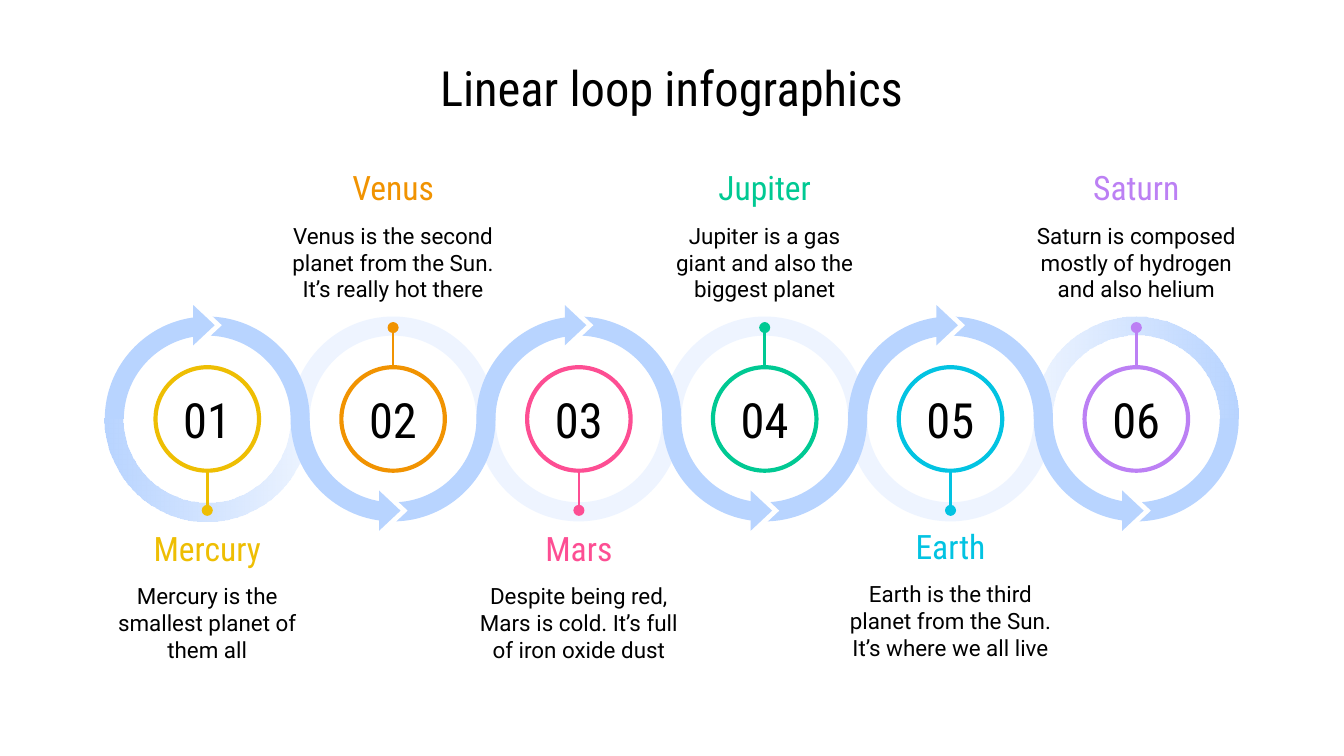
from dataclasses import dataclass

from lxml.etree import SubElement
from pptx import Presentation
from pptx.dml.color import RGBColor
from pptx.enum.shapes import MSO_CONNECTOR, MSO_SHAPE
from pptx.enum.text import MSO_ANCHOR, PP_ALIGN
from pptx.oxml.ns import qn
from pptx.util import Pt

PX = 2286
SLIDE_W, SLIDE_H = 4000, 2250
FIRST_X, MID_Y, PITCH = 617, 1247, 553
OUTER, INNER, NODE = 305, 248, 154
STEM_END = 272
TEXT_W, HEADING_H, BODY_H, BODY_GAP = 684, 148, 324, 136
ARROW_W, ARROW_H, ARROW_LIFT = 120, 64, 3
INSET = 40
BEZIER = 0.55
HALF_CIRCLE = [(-1, 0), (-1, BEZIER), (-BEZIER, 1), (0, 1), (BEZIER, 1), (1, BEZIER), (1, 0)]
CURVE_STARTS = (0, 3, 7, 10)


@dataclass(frozen=True)
class Theme:
    ring: str = "B8D4FF"
    white: str = "FFFFFF"
    ink: str = "000000"
    head_font: str = "Roboto Condensed"
    body_font: str = "Roboto"
    title_pt: int = 26
    heading_pt: int = 18
    body_pt: int = 12
    node_line_pt: float = 2.25
    stem_line_pt: float = 1.5
    faint_alpha: int = 24


@dataclass(frozen=True)
class Planet:
    name: str
    body: str
    color: str
    text_top: int


THEME = Theme()
PLANETS = [
    Planet("Mercury", "Mercury is the smallest planet of them all", "EEBE03", 1556),
    Planet("Venus", "Venus is the second planet from the Sun. It’s really hot there", "F19301", 484),
    Planet("Mars", "Despite being red, Mars is cold. It’s full of iron oxide dust", "FD4E93", 1556),
    Planet("Jupiter", "Jupiter is a gas giant and also the biggest planet", "00C993", 484),
    Planet("Earth", "Earth is the third planet from the Sun. It’s where we all live", "02C3E2", 1552),
    Planet("Saturn", "Saturn is composed mostly of hydrogen and also helium", "BC80F4", 484),
]


def rgb(color: str) -> RGBColor:
    return RGBColor.from_string(color)


def write(sp, text: str, font: str, size: int, color: str, anchor=MSO_ANCHOR.MIDDLE,
          inset: int = INSET, wrap: bool = True) -> None:
    tf = sp.text_frame
    tf.word_wrap = wrap
    tf.vertical_anchor = anchor
    tf.margin_left = tf.margin_right = tf.margin_top = tf.margin_bottom = inset * PX
    tf.text = text
    p = tf.paragraphs[0]
    p.alignment = PP_ALIGN.CENTER
    f = p.runs[0].font
    f.name, f.size = font, Pt(size)
    f.color.rgb = rgb(color)


def text_box(s, x: int, y: int, w: int, h: int):
    return s.shapes.add_textbox(x * PX, y * PX, w * PX, h * PX)


def plain_fill(sp, color: str) -> None:
    sp.shadow.inherit = False
    sp.fill.solid()
    sp.fill.fore_color.rgb = rgb(color)
    sp.line.fill.background()


def fade_last_color(sp) -> None:
    clr = list(sp._element.spPr.iter(qn("a:srgbClr")))[-1]
    SubElement(clr, qn("a:alpha"), val=str(THEME.faint_alpha * 1000))


def bend_segments(sp) -> None:
    outline = next(sp._element.spPr.iter(qn("a:path")))
    segments = outline.findall(qn("a:lnTo"))
    for start in CURVE_STARTS:
        curve = outline.makeelement(qn("a:cubicBezTo"))
        segments[start].addprevious(curve)
        for segment in segments[start:start + 3]:
            curve.append(segment[0])
            outline.remove(segment)


def half_ring(s, x: int, side: int):
    rim = [(OUTER, u, v) for u, v in HALF_CIRCLE] + [(INNER, u, v) for u, v in reversed(HALF_CIRCLE)]
    points = [((x + r * u) * PX, (MID_Y + side * r * v) * PX) for r, u, v in rim]
    fb = s.shapes.build_freeform(*points[0])
    fb.add_line_segments(points[1:], close=True)
    sp = fb.convert_to_shape()
    bend_segments(sp)
    plain_fill(sp, THEME.ring)
    return sp


def faint_half_ring(s, x: int, side: int, angle: int | None) -> None:
    sp = half_ring(s, x, side)
    if angle is not None:
        sp.fill.gradient()
        sp.fill.gradient_angle = angle
        for stop in sp.fill.gradient_stops:
            stop.color.rgb = rgb(THEME.ring)
    fade_last_color(sp)


def node(s, x: int, number: int, color: str) -> None:
    sp = s.shapes.add_shape(MSO_SHAPE.OVAL, (x - NODE) * PX, (MID_Y - NODE) * PX,
                            2 * NODE * PX, 2 * NODE * PX)
    plain_fill(sp, THEME.white)
    sp.line.color.rgb = rgb(color)
    sp.line.width = Pt(THEME.node_line_pt)
    write(sp, f"{number:02}", THEME.head_font, THEME.title_pt, THEME.ink, inset=0, wrap=False)


def stem(s, x: int, side: int, color: str) -> None:
    c = s.shapes.add_connector(MSO_CONNECTOR.STRAIGHT, x * PX, (MID_Y + side * NODE) * PX,
                               x * PX, (MID_Y + side * STEM_END) * PX)
    c.line.color.rgb = rgb(color)
    c.line.width = Pt(THEME.stem_line_pt)
    SubElement(c._element.spPr.find(qn("a:ln")), qn("a:tailEnd"), type="oval")
    SubElement(c._element.spPr, qn("a:effectLst"))


def label(s, x: int, planet: Planet) -> None:
    left = x - TEXT_W // 2
    body = text_box(s, left, planet.text_top + BODY_GAP, TEXT_W, BODY_H)
    write(body, planet.body, THEME.body_font, THEME.body_pt, THEME.ink, MSO_ANCHOR.TOP)
    heading = text_box(s, left, planet.text_top, TEXT_W, HEADING_H)
    write(heading, planet.name, THEME.head_font, THEME.heading_pt, planet.color)


def arrow(s, x: int, side: int) -> None:
    y = MID_Y + side * ((OUTER + INNER) // 2) - ARROW_LIFT
    for dx, color in ((11, THEME.white), (-10, THEME.ring)):
        sp = s.shapes.add_shape(MSO_SHAPE.ISOSCELES_TRIANGLE, (x + dx - ARROW_W // 2) * PX,
                                (y - ARROW_H // 2) * PX, ARROW_W * PX, ARROW_H * PX)
        sp.rotation = 90
        plain_fill(sp, color)


def main() -> None:
    prs = Presentation()
    prs.slide_width, prs.slide_height = SLIDE_W * PX, SLIDE_H * PX
    s = prs.slides.add_slide(prs.slide_layouts[6])
    write(text_box(s, 180, 132, 3640, 252), "Linear loop infographics",
          THEME.head_font, THEME.title_pt, THEME.ink)

    stops = [(FIRST_X + i * PITCH, 1 if i % 2 == 0 else -1) for i in range(len(PLANETS))]
    fades = {0: 0, len(PLANETS) - 1: 180}
    for i, (x, side) in enumerate(stops):
        faint_half_ring(s, x, side, fades.get(i))
    for x, side in stops:
        half_ring(s, x, -side)
    for i, ((x, side), planet) in enumerate(zip(stops, PLANETS), 1):
        node(s, x, i, planet.color)
        label(s, x, planet)
        stem(s, x, side, planet.color)
    for x, side in stops:
        arrow(s, x, -side)
    prs.save("out.pptx")


if __name__ == "__main__":
    main()
